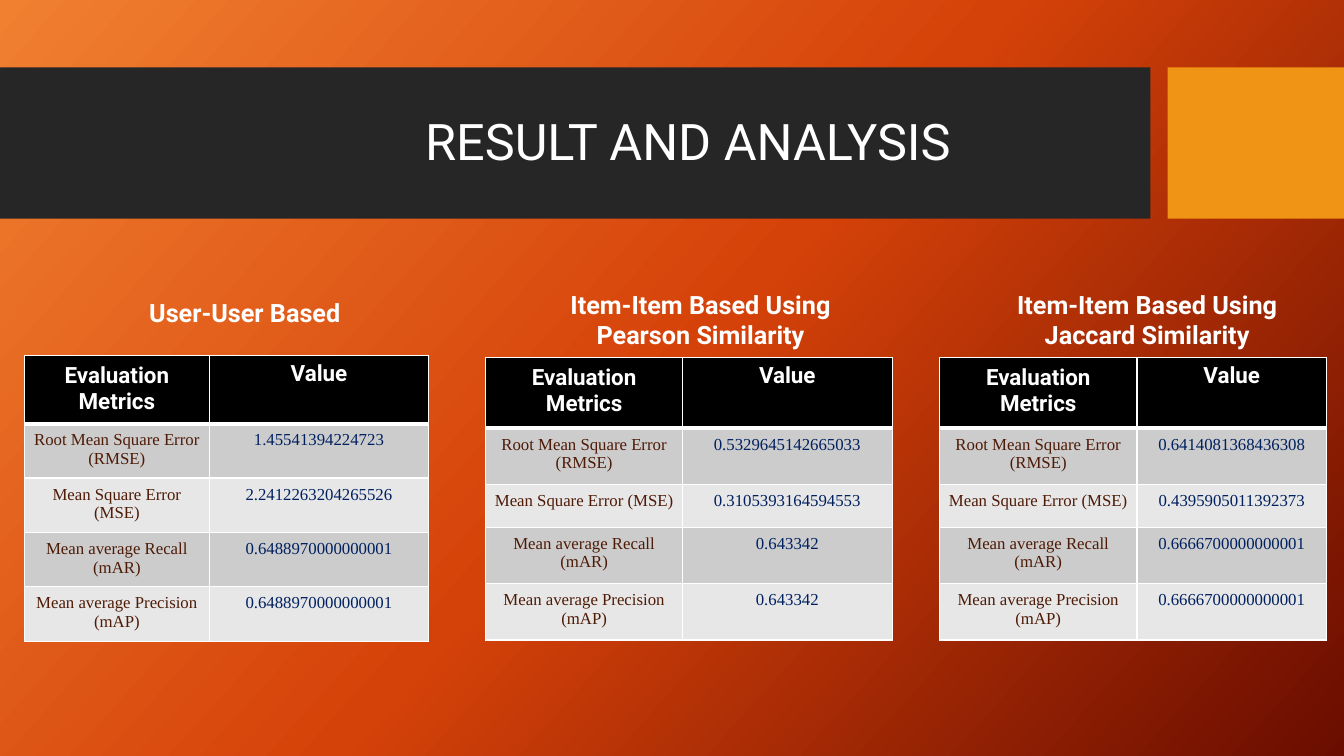
from copy import deepcopy

from lxml.etree import SubElement
from pptx import Presentation
from pptx.dml.color import RGBColor
from pptx.enum.shapes import MSO_SHAPE
from pptx.enum.text import MSO_ANCHOR, PP_ALIGN
from pptx.oxml.ns import qn
from pptx.util import Inches, Pt

WIDTH, HEIGHT = Inches(13.33), Inches(7.5)

WHITE = RGBColor(0xFF, 0xFF, 0xFF)
BLACK = RGBColor(0x00, 0x00, 0x00)
CHARCOAL = RGBColor(0x26, 0x26, 0x26)
AMBER = RGBColor(0xF0, 0x94, 0x15)
BROWN = RGBColor(0x4E, 0x1B, 0x07)
NAVY = RGBColor(0x00, 0x20, 0x60)
DARK_ROW = RGBColor(0xCC, 0xCC, 0xCC)
LIGHT_ROW = RGBColor(0xE7, 0xE7, 0xE7)
GLOW = [
    (0, RGBColor(0xF1, 0x80, 0x31)),
    (0.5, RGBColor(0xD5, 0x42, 0x09)),
    (1, RGBColor(0x6A, 0x0D, 0x00)),
]

TITLE_FONT = {"name": "Roboto", "size": Pt(36), "bold": False}
HEADING_FONT = {"name": "Roboto", "size": Pt(18), "bold": True}
HEADER_FONT = {"name": "Roboto", "size": Pt(16), "bold": True}
BODY_FONT = {"name": "Times New Roman", "size": Pt(12), "bold": False}
CELL_MARGINS = {
    f"margin_{side}": Inches(0.07) for side in ("left", "top", "right", "bottom")
}

METRICS = [
    "Root Mean Square Error (RMSE)",
    "Mean Square Error (MSE)",
    "Mean average Recall (mAR)",
    "Mean average Precision (mAP)",
]
USER_ROWS = [7.33] + [5.47] * 4
ITEM_ROWS = [9.33, 7.47, 5.6, 7.47, 7.47]
RESULTS = [
    {
        "heading": ["User-User Based"],
        "heading_box": (3.97, 38.67, 28.5, 5.33),
        "corner": (1.8, 47.07),
        "columns": [13.8, 16.28],
        "rows": USER_ROWS,
        "values": ["1.45541394224723", "2.2412263204265526",
                   "0.6488970000000001", "0.6488970000000001"],
    },
    {
        "heading": ["Item-Item Based Using", "Pearson Similarity"],
        "heading_box": (36.15, 37.6, 31.95, 9.47),
        "corner": (36.15, 47.33),
        "columns": [14.63, 15.6],
        "rows": ITEM_ROWS,
        "values": ["0.5329645142665033", "0.3105393164594553",
                   "0.643342", "0.643342"],
    },
    {
        "heading": ["Item-Item Based Using", "Jaccard Similarity"],
        "heading_box": (69.38, 37.6, 31.95, 9.47),
        "corner": (69.9, 47.33),
        "columns": [14.7, 14.1],
        "rows": ITEM_ROWS,
        "values": ["0.6414081368436308", "0.4395905011392373",
                   "0.6666700000000001", "0.6666700000000001"],
    },
]


def across(percent):
    return round(WIDTH * percent / 100)


def down(percent):
    return round(HEIGHT * percent / 100)


def place(left, top, width, height):
    return across(left), down(top), across(width), down(height)


def apply(target, values):
    for attribute, value in values.items():
        setattr(target, attribute, value)


def write(frame, lines, font, color, **paragraph_format):
    for index, line in enumerate(lines):
        paragraph = frame.add_paragraph() if index else frame.paragraphs[0]
        apply(paragraph, {"alignment": PP_ALIGN.CENTER, **paragraph_format})
        run = paragraph.add_run()
        run.text = line
        apply(run.font, font)
        run.font.color.rgb = color


def paint_background(slide):
    fill = slide.background.fill
    fill.gradient()
    fill.gradient_angle = 318
    stop_list = next(slide.element.iter(qn("a:gsLst")))
    stop_list.insert(1, deepcopy(stop_list[0]))
    for stop, (position, color) in zip(fill.gradient_stops, GLOW):
        stop.position = position
        stop.color.rgb = color


def add_band(slide, box, color):
    band = slide.shapes.add_shape(MSO_SHAPE.RECTANGLE, *place(*box))
    band.shadow.inherit = False
    band.fill.solid()
    band.fill.fore_color.rgb = color
    band.line.fill.background()


def add_text(slide, box, lines, font, anchor=MSO_ANCHOR.TOP, **paragraph_format):
    frame = slide.shapes.add_textbox(*place(*box)).text_frame
    apply(frame, {"word_wrap": True, "vertical_anchor": anchor})
    write(frame, lines, font, WHITE, **paragraph_format)


def set_borders(cell, top=1, bottom=1):
    properties = cell._tc.get_or_add_tcPr()
    widths = {"a:lnL": 1, "a:lnR": 1, "a:lnT": top, "a:lnB": bottom}
    for index, (edge, points) in enumerate(widths.items()):
        border = SubElement(properties, qn(edge), w=str(Pt(points)))
        solid = SubElement(border, qn("a:solidFill"))
        SubElement(solid, qn("a:srgbClr"), val=str(WHITE))
        properties.insert(index, border)


def fill_cell(cell, text, font, color, background, margins=CELL_MARGINS, **borders):
    apply(cell, margins)
    cell.fill.solid()
    cell.fill.fore_color.rgb = background
    write(cell.text_frame, [text], font, color)
    set_borders(cell, **borders)


def add_result_table(slide, corner, columns, rows, values):
    box = place(*corner, sum(columns), sum(rows))
    table = slide.shapes.add_table(len(rows), len(columns), *box).table
    for column, share in zip(table.columns, columns):
        column.width = across(share)
    for row, share in zip(table.rows, rows):
        row.height = down(share)

    fill_cell(table.cell(0, 0), "Evaluation Metrics", HEADER_FONT, WHITE, BLACK,
              bottom=3)
    fill_cell(table.cell(0, 1), "Value", HEADER_FONT, WHITE, BLACK,
              margins={}, bottom=3)
    for index, (metric, value) in enumerate(zip(METRICS, values), start=1):
        background = DARK_ROW if index % 2 else LIGHT_ROW
        top = 3 if index == 1 else 1
        for column, (text, color) in enumerate([(metric, BROWN), (value, NAVY)]):
            fill_cell(table.cell(index, column), text, BODY_FONT, color,
                      background, top=top)


def main():
    presentation = Presentation()
    apply(presentation, {"slide_width": WIDTH, "slide_height": HEIGHT})
    slide = presentation.slides.add_slide(presentation.slide_layouts[6])

    paint_background(slide)
    add_band(slide, (0, 8.93, 85.6, 20), CHARCOAL)
    add_band(slide, (86.87, 8.93, 13.13, 20), AMBER)
    add_text(slide, (11.78, 11.2, 78.83, 15.73), ["RESULT AND ANALYSIS"],
             TITLE_FONT, MSO_ANCHOR.MIDDLE, line_spacing=0.9)
    for result in RESULTS:
        add_result_table(slide, result["corner"], result["columns"],
                         result["rows"], result["values"])
        add_text(slide, result["heading_box"], result["heading"], HEADING_FONT)

    presentation.save("out.pptx")


if __name__ == "__main__":
    main()
